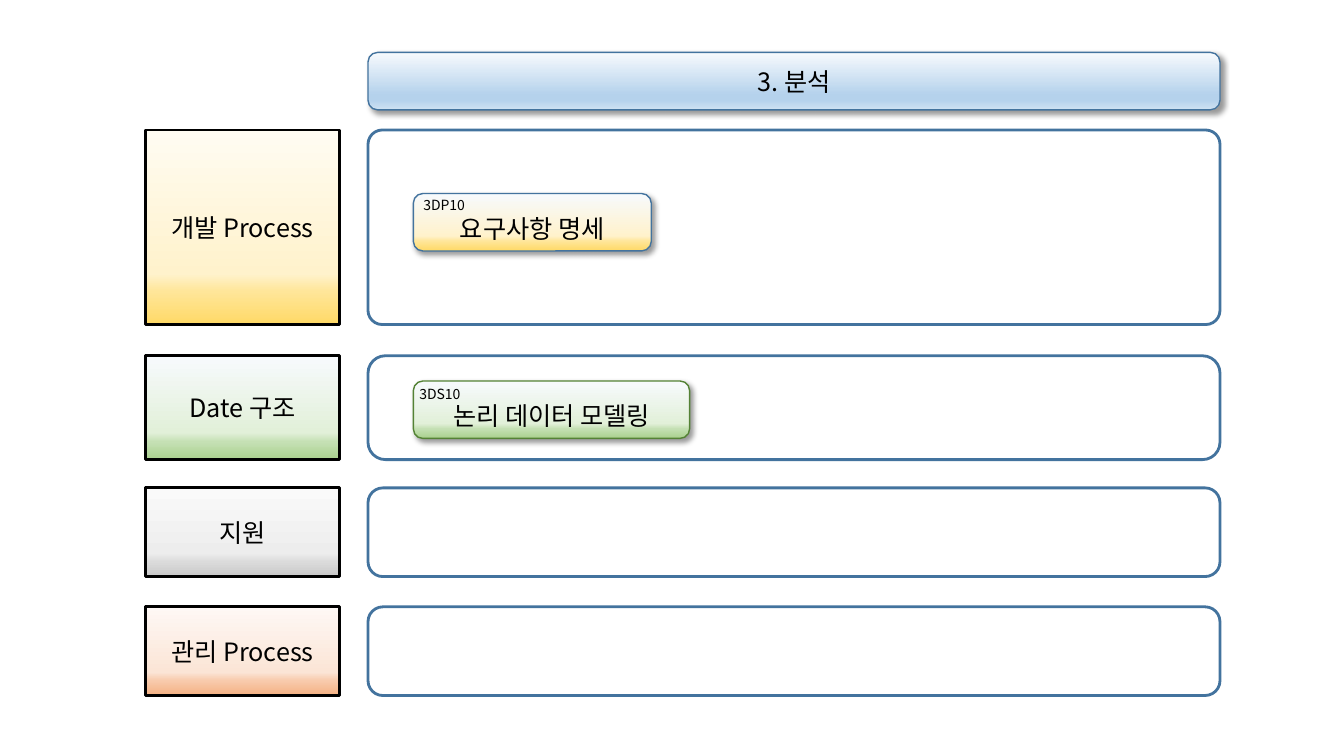
from lxml import etree
from pptx import Presentation
from pptx.dml.color import RGBColor
from pptx.enum.shapes import MSO_SHAPE
from pptx.enum.text import MSO_ANCHOR, MSO_AUTO_SIZE, PP_ALIGN
from pptx.oxml.ns import qn
from pptx.util import Inches, Pt

FONT = "Noto Sans CJK KR"
BLACK = RGBColor(0x00, 0x00, 0x00)
BLUE = RGBColor(0x43, 0x73, 0x9E)
GREEN = RGBColor(0x54, 0x82, 0x35)

STOP_POSITIONS = (0, 74, 83, 100)
YELLOWS = ("FFFCF2", "FFF2CC", "FFE699", "FFD966")
GREENS = ("F7FAFD", "E2F0D9", "C5E0B4", "A9D18E")
GREYS = ("FAFAFA", "EDEDED", "DBDBDB", "C9C9C9")
ORANGES = ("FEF8F5", "FBE5D6", "F8CBAD", "F4B183")
BLUES = ("F7FAFD", "B5D2EC", "B5D2EC", "CEE1F2")
PALE_YELLOWS = ("F7FAFD",) + YELLOWS[1:]

PHASE = "3. 분석"
# name, colours, top, height, corner
LANES = [
    ("개발 Process", YELLOWS, 1.29, 1.93, 0.073),
    ("Date 구조", GREENS, 3.53, 1.03, 0.167),
    ("지원", GREYS, 4.84, 0.88, 0.167),
    ("관리 Process", ORANGES, 6.02, 0.88, 0.167),
]
TASKS = [
    ("요구사항 명세", PALE_YELLOWS, BLUE, 1.92, 2.36, "3DP10", 4.1, 1.9),
    ("논리 데이터 모델링", GREENS, GREEN, 3.78, 2.74, "3DS10", 4.06, 3.78),
]

LANE_LEFT, LANE_WIDTH = 1.44, 1.93
PANEL_LEFT, PANEL_WIDTH = 3.65, 8.45
TASK_LEFT, BAR_HEIGHT = 4.1, 0.57


def write(shape, text, size, align, anchor):
    frame = shape.text_frame
    frame.vertical_anchor = anchor
    paragraph = frame.paragraphs[0]
    paragraph.text = text
    paragraph.alignment = align
    paragraph.font.size = Pt(size)
    paragraph.font.color.rgb = BLACK
    paragraph.font.name = FONT
    for properties in shape.element.iter(qn("a:defRPr")):
        etree.SubElement(properties, qn("a:ea"), typeface=FONT)


def add_box(kind, left, top, width, height, line_color, line_width, colors=None):
    box = slide.shapes.add_shape(
        kind, Inches(left), Inches(top), Inches(width), Inches(height))
    box.shadow.inherit = False
    box.line.color.rgb = line_color
    box.line.width = Pt(line_width)
    if colors is None:
        box.fill.background()
        return box
    box.fill.gradient()
    box.fill.gradient_angle = 270
    stops = box.element.spPr.find(".//" + qn("a:gsLst"))
    for stop in list(stops):
        stops.remove(stop)
    for position, color in zip(STOP_POSITIONS, colors):
        stop = etree.SubElement(stops, qn("a:gs"), pos=str(position * 1000))
        etree.SubElement(stop, qn("a:srgbClr"), val=color)
    return box


def add_bar(text, left, top, width, line_color, colors, anchor):
    bar = add_box(MSO_SHAPE.ROUNDED_RECTANGLE, left, top, width, BAR_HEIGHT,
                  line_color, 1, colors)
    effects = bar.element.spPr.find(qn("a:effectLst"))
    shadow = etree.SubElement(
        effects, qn("a:outerShdw"), blurRad=str(Pt(4)), dist=str(Pt(3)),
        dir=str(45 * 60000), algn="tl", rotWithShape="0")
    color = etree.SubElement(shadow, qn("a:srgbClr"), val=str(BLACK))
    etree.SubElement(color, qn("a:alpha"), val="40000")
    write(bar, text, 18, PP_ALIGN.CENTER, anchor)


presentation = Presentation()
presentation.slide_width = Inches(13.33)
presentation.slide_height = Inches(7.5)
slide = presentation.slides.add_slide(presentation.slide_layouts[6])

add_bar(PHASE, PANEL_LEFT, 0.52, PANEL_WIDTH, BLUE, BLUES, MSO_ANCHOR.MIDDLE)

for name, colors, top, height, corner in LANES:
    lane = add_box(MSO_SHAPE.RECTANGLE, LANE_LEFT, top, LANE_WIDTH, height,
                   BLACK, 2, colors)
    write(lane, name, 18, PP_ALIGN.CENTER, MSO_ANCHOR.MIDDLE)
    panel = add_box(MSO_SHAPE.ROUNDED_RECTANGLE, PANEL_LEFT, top, PANEL_WIDTH,
                    height, BLUE, 2)
    panel.adjustments[0] = corner

for name, colors, outline, top, width, code, code_left, code_top in TASKS:
    add_bar(name, TASK_LEFT, top, width, outline, colors, MSO_ANCHOR.BOTTOM)
    code_label = slide.shapes.add_textbox(
        Inches(code_left), Inches(code_top), Inches(0.61), Inches(0.27))
    write(code_label, code, 10, PP_ALIGN.LEFT, MSO_ANCHOR.TOP)
    code_label.text_frame.word_wrap = False
    code_label.text_frame.auto_size = MSO_AUTO_SIZE.SHAPE_TO_FIT_TEXT

presentation.save("out.pptx")
